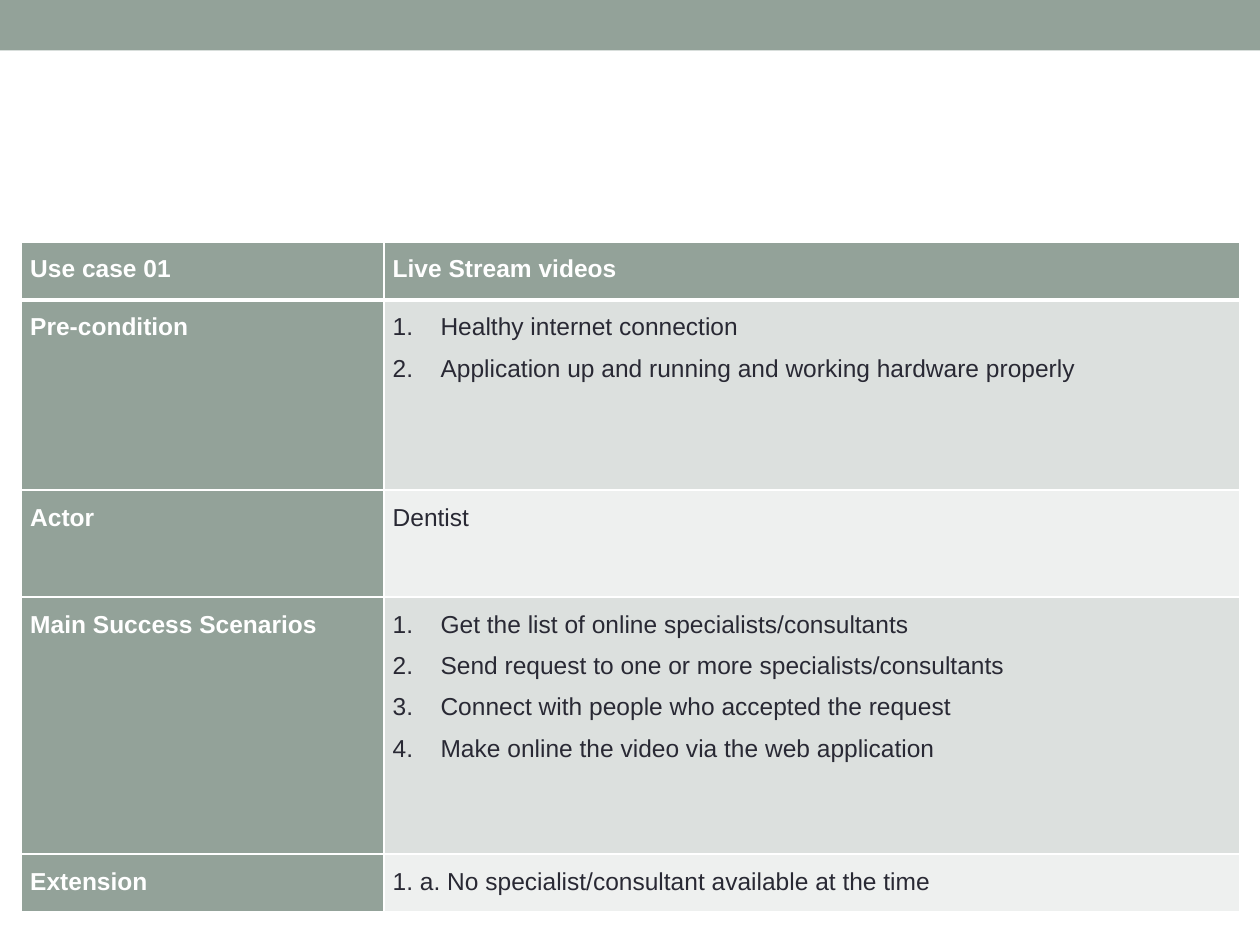
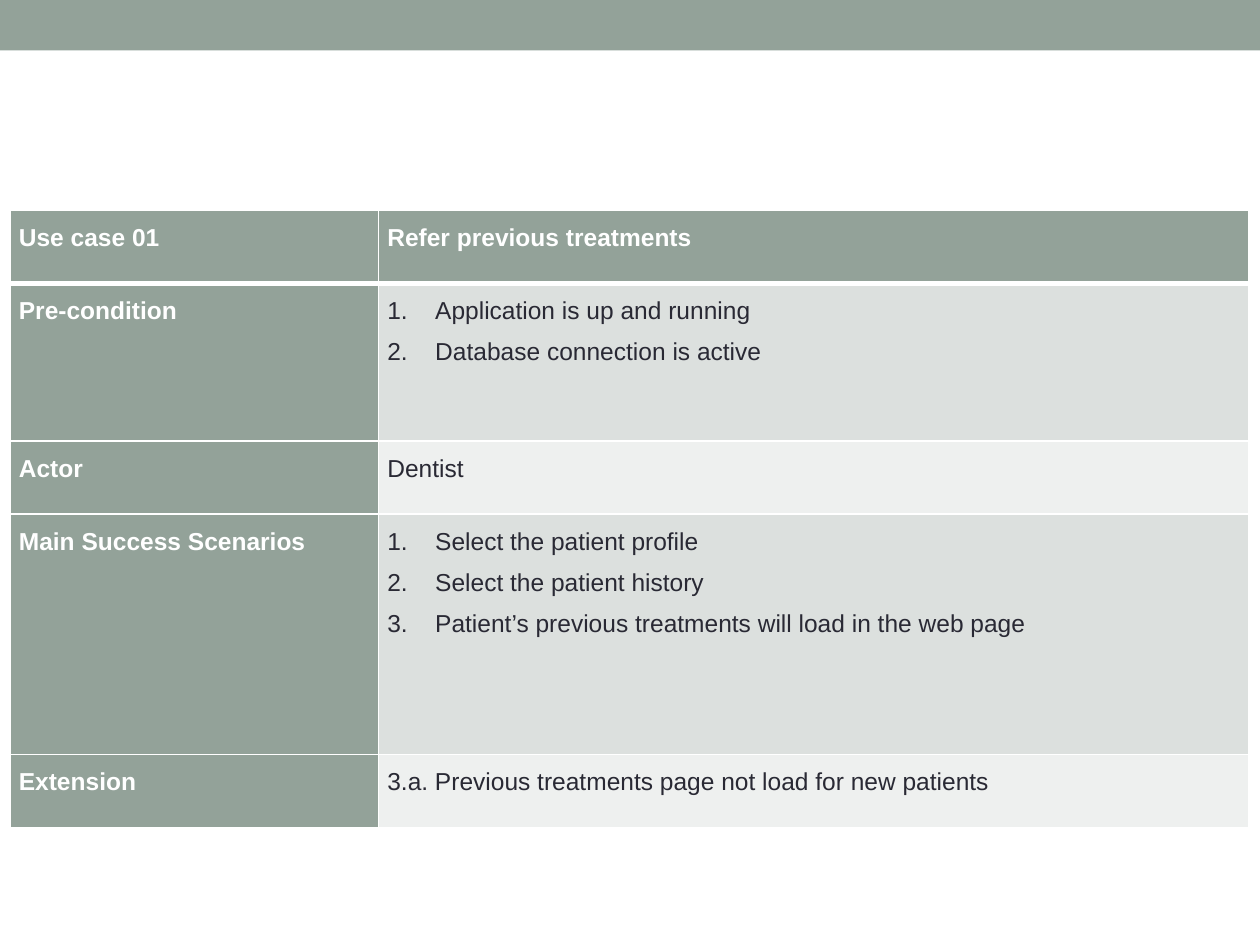
from lxml.etree import SubElement
from pptx import Presentation
from pptx.dml.color import RGBColor
from pptx.enum.shapes import MSO_SHAPE
from pptx.oxml.ns import qn
from pptx.util import Inches, Pt

SAGE, WHITE, INK = "93A299", "FFFFFF", "292934"
BANDS = ("DCE0DE", "EEF0EF")
LABELS = ("Pre-condition", "Actor", "Main Success Scenarios", "Extension")
LABEL_SHARE = 0.2975
INDENT = Inches(0.38)

# Lists become numbered paragraphs; plain strings stay unnumbered.
USE_CASES = [
    {
        "title": "Live Stream videos",
        "box": (0.17, 1.92, 9.67),
        "rows": (0.46, 1.51, 0.85, 2.04, 0.46),
        "details": (
            ["Healthy internet connection",
             "Application up and running and working hardware properly"],
            "Dentist",
            ["Get the list of online specialists/consultants",
             "Send request to one or more specialists/consultants",
             "Connect with people who accepted the request",
             "Make online the video via the web application"],
            "1. a. No specialist/consultant available at the time",
        ),
    },
    {
        "title": "Refer previous treatments",
        "box": (0.08, 1.67, 9.83),
        "rows": (0.58, 1.25, 0.58, 1.91, 0.58),
        "details": (
            ["Application is up and running", "Database connection is active"],
            "Dentist",
            ["Select the patient profile",
             "Select the patient history",
             "Patient’s previous treatments will load in the web page"],
            "3.a. Previous treatments page not load for new patients",
        ),
    },
]


def paint(fill, color):
    fill.solid()
    fill.fore_color.rgb = RGBColor.from_string(color)


def add_top_band(prs, slide):
    sp = slide.shapes.add_shape(MSO_SHAPE.RECTANGLE, 0, 0, prs.slide_width, Inches(0.4))
    sp.shadow.inherit = False
    paint(sp.fill, SAGE)
    sp.line.fill.background()


def set_borders(cell, top=1, bottom=1):
    """Draw white cell borders; call before filling, as lines come first in tcPr."""
    tc_pr = cell._tc.get_or_add_tcPr()
    for side, width in (("L", 1), ("R", 1), ("T", top), ("B", bottom)):
        ln = SubElement(tc_pr, qn(f"a:ln{side}"), w=str(Pt(width)))
        SubElement(SubElement(ln, qn("a:solidFill")), qn("a:srgbClr"), val=WHITE)


def number(p):
    p_pr = p._p.get_or_add_pPr()
    p_pr.set("marL", str(INDENT))
    p_pr.set("indent", str(-INDENT))
    SubElement(p_pr, qn("a:buFont"), typeface="+mj-lt")
    SubElement(p_pr, qn("a:buAutoNum"), type="arabicPeriod")


def write_cell(cell, content, color, bold):
    cell.margin_left = cell.margin_right = Inches(0.07)
    cell.margin_top = cell.margin_bottom = 0
    numbered = isinstance(content, list)
    tf = cell.text_frame
    for i, text in enumerate(content if numbered else [content]):
        p = tf.add_paragraph() if i else tf.paragraphs[0]
        p.line_spacing = 1.5
        if numbered:
            number(p)
        r = p.add_run()
        r.text = text
        r.font.name = "Arial"
        r.font.size = Pt(14)
        r.font.bold = bold
        r.font.color.rgb = RGBColor.from_string(color)


def add_use_case_table(slide, case):
    left, top, width = map(Inches, case["box"])
    rows = [("Use case 01", case["title"]), *zip(LABELS, case["details"])]
    height = Inches(sum(case["rows"]))
    table = slide.shapes.add_table(len(rows), 2, left, top, width, height).table
    table.horz_banding = False
    label_width = int(width * LABEL_SHARE)
    table.columns[0].width = label_width
    table.columns[1].width = width - label_width
    for i, (row, row_height) in enumerate(zip(rows, case["rows"])):
        table.rows[i].height = Inches(row_height)
        for j, content in enumerate(row):
            cell = table.cell(i, j)
            heading = i == 0 or j == 0
            set_borders(cell, top=3 if i == 1 else 1, bottom=3 if i == 0 else 1)
            paint(cell.fill, SAGE if heading else BANDS[(i - 1) % 2])
            write_cell(cell, content, WHITE if heading else INK, heading)


def main():
    prs = Presentation()
    prs.slide_width, prs.slide_height = Inches(10), Inches(7.5)
    for case in USE_CASES:
        slide = prs.slides.add_slide(prs.slide_layouts[6])
        paint(slide.background.fill, WHITE)
        add_top_band(prs, slide)
        add_use_case_table(slide, case)
    prs.save("out.pptx")


if __name__ == "__main__":
    main()
